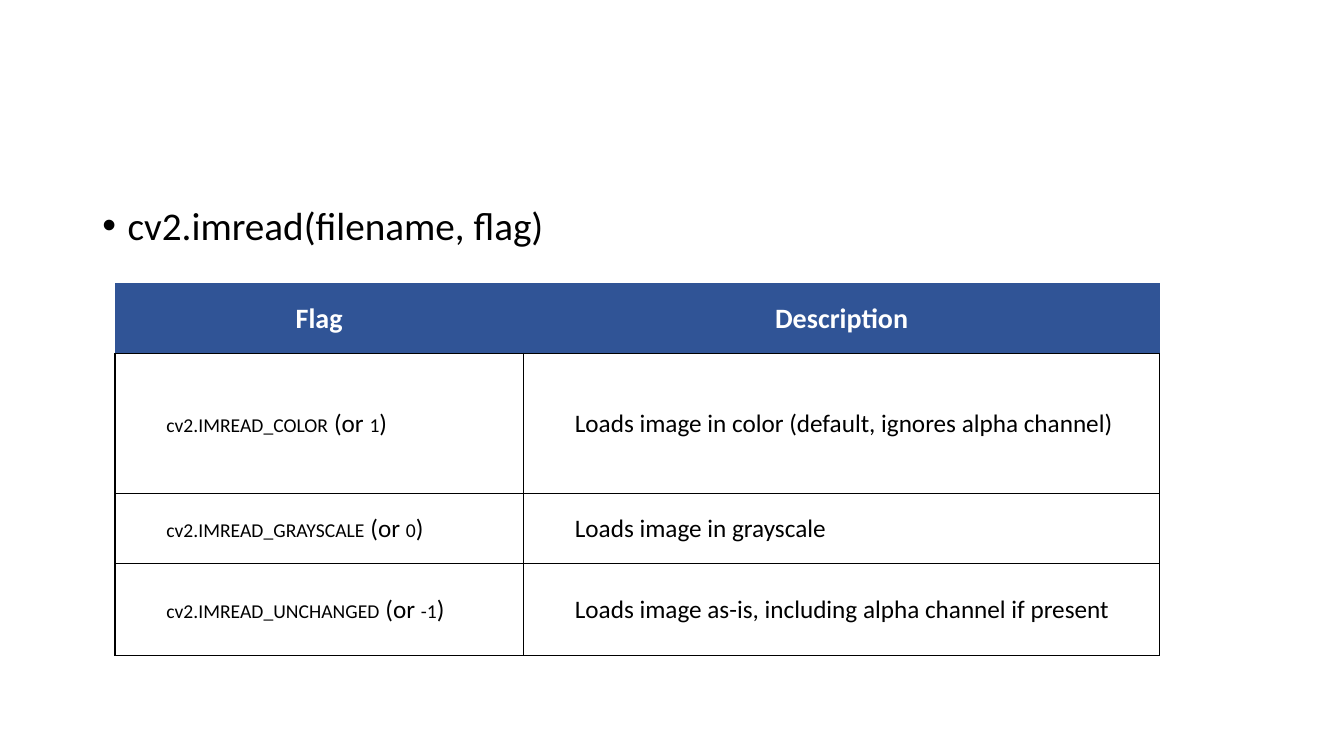
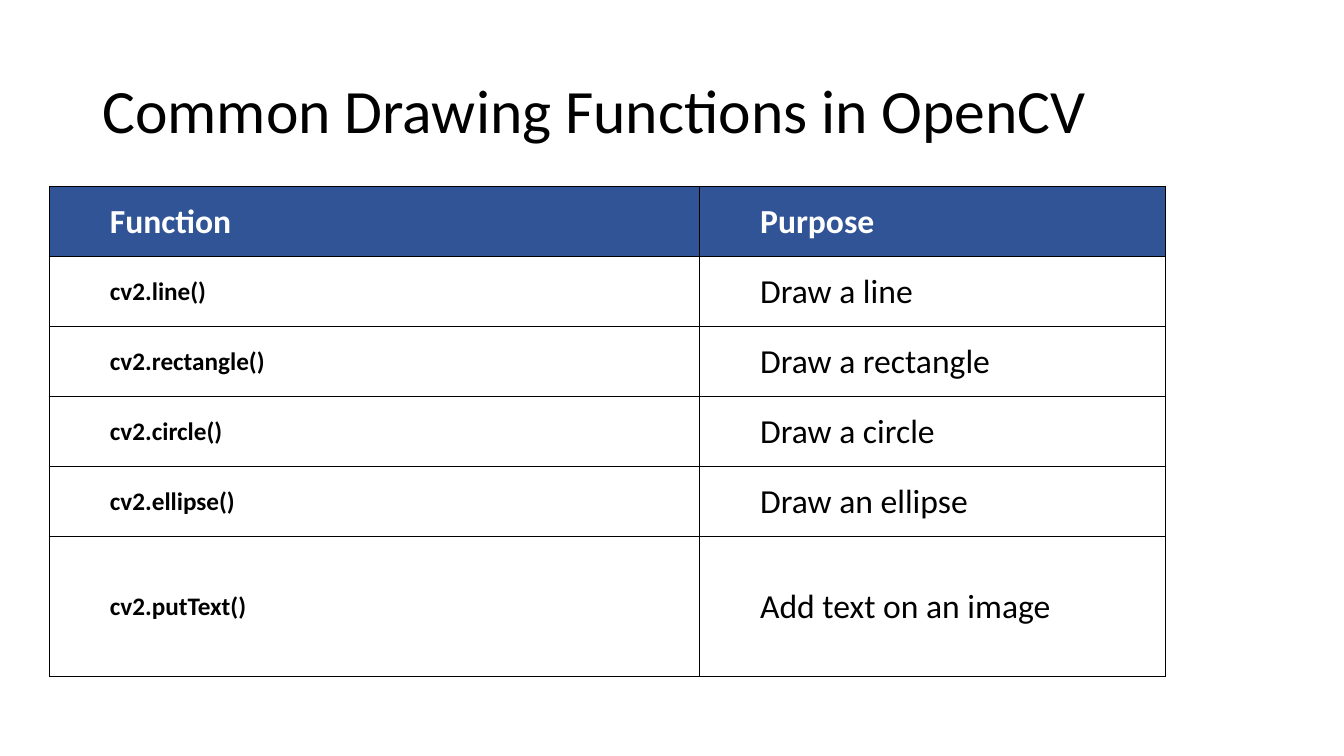
from lxml.etree import SubElement
from pptx import Presentation
from pptx.dml.color import RGBColor
from pptx.enum.text import MSO_ANCHOR, PP_ALIGN
from pptx.oxml.ns import qn
from pptx.util import Inches, Pt

COLORS = {"text": "000000", "header": "305496", "header_text": "FFFFFF",
          "border": "000000"}
ROW = 9.26  # height of a single table row, in percent of the slide


class Deck:
    """Holds the style and the current slide; lengths are percent of the slide."""

    font = "Calibri"
    left, width = 6.88, 86.25

    def __init__(self):
        self.prs = Presentation()
        self.prs.slide_width = Inches(13.33)
        self.prs.slide_height = Inches(7.5)
        self.s = None

    def x(self, share):
        return int(self.prs.slide_width * share / 100)

    def y(self, share):
        return int(self.prs.slide_height * share / 100)

    def new_slide(self):
        self.s = self.prs.slides.add_slide(self.prs.slide_layouts[6])

    def style(self, r, size, color="text", bold=False):
        r.font.name = self.font
        r.font.size = Pt(size)
        r.font.bold = bold
        r.font.color.rgb = RGBColor.from_string(COLORS[color])

    def text(self, text, top, height, size, anchor):
        sp = self.s.shapes.add_textbox(self.x(self.left), self.y(top),
                                       self.x(self.width), self.y(height))
        tf = sp.text_frame
        tf.word_wrap = True
        tf.vertical_anchor = anchor
        p = tf.paragraphs[0]
        p.text = text
        p.line_spacing = 0.9
        self.style(p.runs[0], size)
        return p

    def title(self, text):
        self.text(text, 5.33, 19.33, 44, MSO_ANCHOR.MIDDLE)

    def bullet(self, text):
        p = self.text(text, 26.67, 63.44, 28, MSO_ANCHOR.TOP)
        p.space_before = Pt(10)
        pPr = p._p.get_or_add_pPr()
        pPr.set("marL", str(Inches(0.25)))
        pPr.set("indent", str(-Inches(0.25)))
        SubElement(pPr, qn("a:buFont"), typeface="Arial")
        SubElement(pPr, qn("a:buChar"), char="•")

    def borders(self, cell, sides):
        tcPr = cell._tc.get_or_add_tcPr()
        for side in "LRTB":
            ln = SubElement(tcPr, qn("a:ln" + side), w=str(Pt(1)))
            if side in sides:
                fill = SubElement(ln, qn("a:solidFill"))
                SubElement(fill, qn("a:srgbClr"), val=COLORS["border"])
            else:
                SubElement(ln, qn("a:noFill"))

    def cell(self, cell, runs, inset, header, centered, sides):
        """Fill one cell; runs is a list of (text, size, bold)."""
        self.borders(cell, sides)
        if header:
            cell.fill.solid()
            cell.fill.fore_color.rgb = RGBColor.from_string(COLORS["header"])
        else:
            cell.fill.background()
        cell.vertical_anchor = MSO_ANCHOR.MIDDLE
        cell.margin_left = Inches(inset)
        cell.margin_right = cell.margin_top = Inches(0.01)
        cell.margin_bottom = 0
        p = cell.text_frame.paragraphs[0]
        if centered:
            p.alignment = PP_ALIGN.CENTER
        else:
            p._p.get_or_add_pPr().set("marL", str(Inches(0.5)))
        for text, size, bold in runs:
            r = p.add_run()
            r.text = text
            self.style(r, size, "header_text" if header else "text", bold)

    def table(self, left, top, cols, heights, rows, inset,
              centered_header=False, header_sides="LRTB"):
        frame = self.s.shapes.add_table(
            len(rows), len(cols), self.x(left), self.y(top),
            self.x(sum(cols)), self.y(sum(heights)))
        tbl = frame.table
        tbl.first_row = tbl.horz_banding = False
        for col, width in zip(tbl.columns, cols):
            col.width = self.x(width)
        for i, (row, height) in enumerate(zip(rows, heights)):
            tbl.rows[i].height = self.y(height)
            header = i == 0
            for j, runs in enumerate(row):
                self.cell(tbl.cell(i, j), runs, inset, header,
                          header and centered_header,
                          header_sides if header else "LRTB")


def flag_row(flag, value, description):
    return [[(flag, 14, False), (" (or ", 18, False), (value, 14, False),
             (")", 18, False)],
            [(description, 18, False)]]


def function_row(name, purpose):
    return [[(name, 18, True)], [(purpose, 24, False)]]


def header_row(size, *labels):
    return [[(label, size, True)] for label in labels]


def main():
    deck = Deck()

    # Image reading flags
    deck.new_slide()
    deck.bullet("cv2.imread(filename, flag)")
    flags = [
        header_row(20, "Flag", "Description"),
        flag_row("cv2.IMREAD_COLOR", "1",
                 "Loads image in color (default, ignores alpha channel)"),
        flag_row("cv2.IMREAD_GRAYSCALE", "0", "Loads image in grayscale"),
        flag_row("cv2.IMREAD_UNCHANGED", "-1",
                 "Loads image as-is, including alpha channel if present"),
    ]
    deck.table(8.55, 37.47, [30.4, 47.35], [ROW, 2 * ROW, ROW, 12.17], flags,
               inset=0.01, centered_header=True, header_sides="B")

    # Drawing functions
    deck.new_slide()
    deck.title("Common Drawing Functions in OpenCV")
    functions = [
        header_row(24, "Function", "Purpose"),
        function_row("cv2.line()", "Draw a line"),
        function_row("cv2.rectangle()", "Draw a rectangle"),
        function_row("cv2.circle()", "Draw a circle"),
        function_row("cv2.ellipse()", "Draw an ellipse"),
        function_row("cv2.putText()", "Add text on an image"),
    ]
    deck.table(3.68, 24.67, [48.38, 34.65], [ROW] * 5 + [2 * ROW], functions,
               inset=0.1)

    deck.prs.save("out.pptx")


if __name__ == "__main__":
    main()
